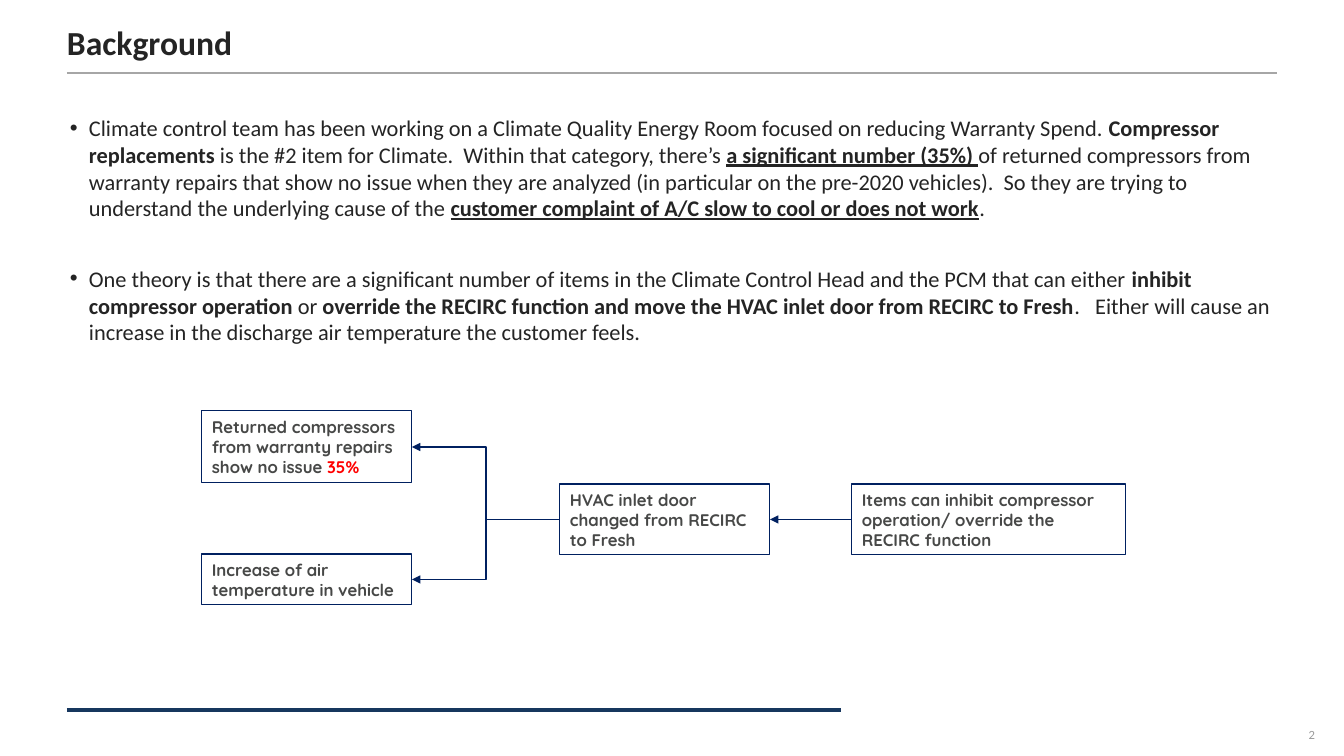
"""Build the Background slide: two bullets above a cause-and-effect flow."""
from lxml.etree import SubElement as Sub
from pptx import Presentation
from pptx.dml.color import RGBColor as RGB
from pptx.enum.shapes import MSO_CONNECTOR as LINK, MSO_SHAPE as SHAPE
from pptx.enum.text import MSO_ANCHOR as ANCHOR, PP_ALIGN as ALIGN
from pptx.oxml.ns import qn
from pptx.util import Pt

PX = 914400 / 100.8
THEME = {
    "ink": "242424", "label": "474847", "alert": "FF0000", "page": "999999",
    "rule": "A6A6A6", "foot": "17375E", "flow": "002060",
    "title": Pt(24), "body": Pt(16), "box": Pt(12), "small": Pt(8),
}
BOLD = {"bold": True}
MARK = {"bold": True, "underline": True}


def px(*nums):
    """Turn pixel lengths into EMU."""
    return [round(n * PX) for n in nums]


def write(para, runs, face, size, color, **base):
    """Add styled runs to a paragraph."""
    for text, style in runs:
        run = para.add_run()
        run.text = text
        look = {"name": face, "size": THEME[size], **base, **style}
        tint = look.pop("tint", color)
        for key, val in look.items():
            setattr(run.font, key, val)
        run.font.color.rgb = RGB.from_string(THEME[tint])


deck = Presentation()
deck.slide_width, deck.slide_height = px(1344, 756)
slide = deck.slides.add_slide(deck.slide_layouts[5])
shapes = slide.shapes

title = shapes.title
body = shapes.add_textbox(*px(70, 109, 1210, 536))
page = shapes.add_textbox(*px(1279, 715, 66, 40))
edge = {"margin_left": 0, "margin_right": px(10)[0], "margin_top": px(5)[0],
        "margin_bottom": px(5)[0], "word_wrap": True}
bare = dict.fromkeys(["margin_left", "margin_right", "margin_top", "margin_bottom"], 0)
frames = [
    (title, {**edge, "vertical_anchor": ANCHOR.BOTTOM}),
    (body, {**edge, "vertical_anchor": ANCHOR.TOP}),
    (page, {**bare, "word_wrap": True, "vertical_anchor": ANCHOR.MIDDLE}),
]
for item, form in frames:
    for key, val in form.items():
        setattr(item.text_frame, key, val)

title.left, title.top, title.width, title.height = px(67, 16, 1210, 51)
head = title.text_frame.paragraphs[0]
head.alignment = ALIGN.LEFT
write(head, [("Background", BOLD)], "Calibri", "title", "ink")

num = page.text_frame.paragraphs[0]
num.alignment = ALIGN.CENTER
write(num, [("2", {})], "Lato", "small", "page")

points = [
    [
        ("Climate control team has been working on a Climate Quality Energy Room "
         "focused on reducing Warranty Spend. ", {}),
        ("Compressor replacements ", BOLD),
        ("is the #2 item for Climate.  Within that category, there’s ", {}),
        ("a significant number (35%) ", MARK),
        ("of returned compressors from warranty repairs that show no issue when they "
         "are analyzed (in particular on the pre-2020 vehicles).  So they are trying "
         "to understand the underlying cause of the ", {}),
        ("customer complaint of A/C slow to cool or does not work", MARK),
        (".", {}),
    ],
    [
        ("One theory is that there are a significant number of items in the Climate "
         "Control Head and the PCM that can either", {}),
        (" inhibit compressor operation ", BOLD),
        ("or ", {}),
        ("override the RECIRC function and move the HVAC inlet door from RECIRC to "
         "Fresh", BOLD),
        (".   Either will cause an increase in the discharge air temperature the "
         "customer feels.", {}),
    ],
]
text = body.text_frame
for i, runs in enumerate(points):
    para = text.add_paragraph() if i else text.paragraphs[0]
    para.space_after = Pt(31)
    write(para, runs, "Calibri", "body", "ink")
    prop = para._p.get_or_add_pPr()
    dent = px(19)[0]
    prop.set("marL", str(dent))
    prop.set("indent", str(-dent))
    Sub(prop, qn("a:buFont")).set("typeface", "Arial")
    Sub(prop, qn("a:buChar")).set("char", "•")

cards = {
    "parts": (202, 411, 210, 72, [
        ("Returned compressors from warranty repairs show no issue ", {}),
        ("35%", {"tint": "alert"})]),
    "heat": (202, 554, 210, 51, [("Increase of air temperature in vehicle", {})]),
    "door": (560, 484, 210, 71, [("HVAC inlet door changed from RECIRC to Fresh", {})]),
    "cause": (852, 484, 274, 71, [
        ("Items can inhibit compressor operation/ override the RECIRC function", {})]),
}
boxes = {}
for name, (*area, runs) in cards.items():
    box = boxes[name] = shapes.add_shape(SHAPE.RECTANGLE, *px(*area))
    box.shadow.inherit = False
    box.fill.background()
    box.line.color.rgb = RGB.from_string(THEME["flow"])
    box.line.width = Pt(0.75)
    box.text_frame.word_wrap = True
    para = box.text_frame.paragraphs[0]
    para.alignment = ALIGN.LEFT
    write(para, runs, "Quicksand", "box", "label", bold=True)

lines = [
    (LINK.STRAIGHT, (67, 73, 1277, 73), "rule", 1, None),
    (LINK.STRAIGHT, (67, 710, 841, 710), "foot", 2.25, None),
    (LINK.ELBOW, (560, 519, 412, 447), "flow", 1, ("door", "parts")),
    (LINK.ELBOW, (560, 519, 412, 580), "flow", 1, ("door", "heat")),
    (LINK.STRAIGHT, (852, 519, 770, 519), "flow", 1, ("cause", "door")),
]
for kind, ends, color, width, pair in lines:
    link = shapes.add_connector(kind, *px(*ends))
    link.line.color.rgb = RGB.from_string(THEME[color])
    link.line.width = Pt(width)
    if pair:
        start, end = pair
        link.begin_connect(boxes[start], 1)
        link.end_connect(boxes[end], 3)
        Sub(link.line._get_or_add_ln(), qn("a:tailEnd")).set("type", "triangle")
    Sub(link._element.spPr, qn("a:effectLst"))

deck.save("out.pptx")
